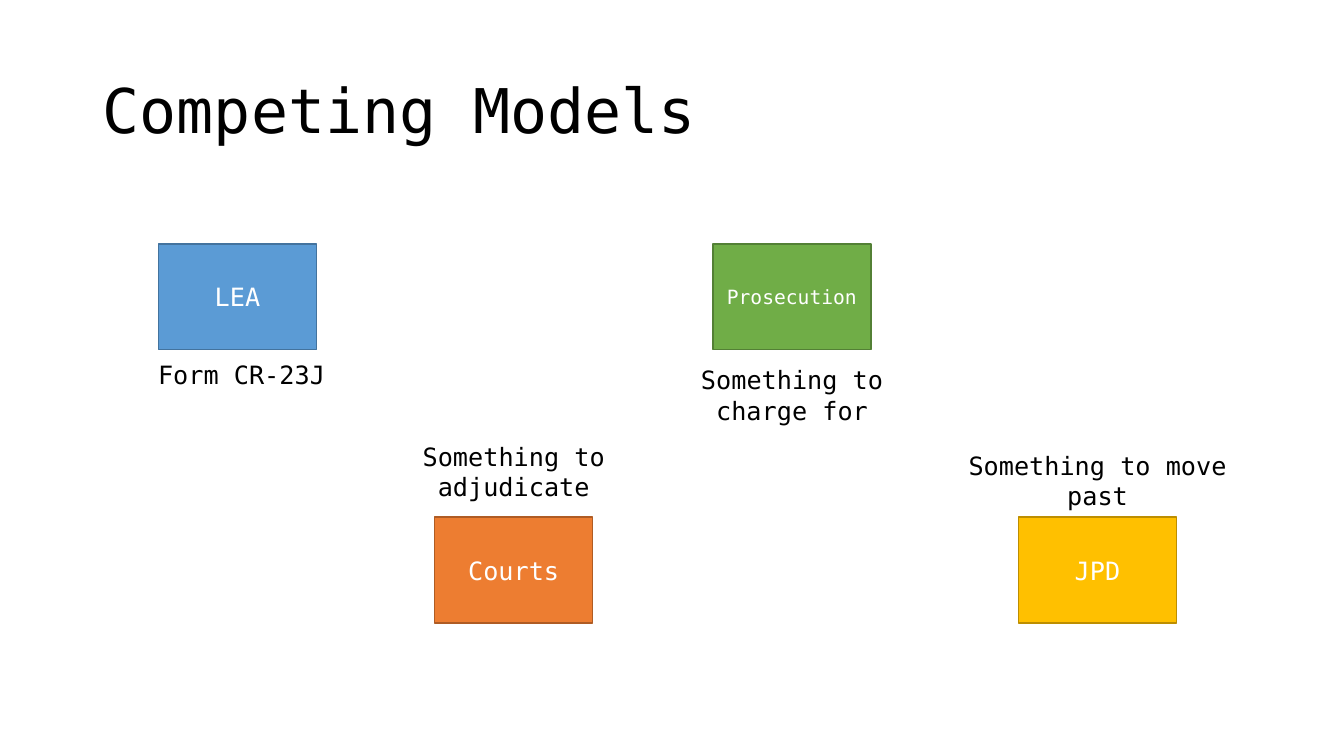
from dataclasses import dataclass

from pptx import Presentation
from pptx.dml.color import RGBColor
from pptx.enum.shapes import MSO_SHAPE
from pptx.enum.text import MSO_ANCHOR, PP_ALIGN
from pptx.util import Inches, Pt

RECT = MSO_SHAPE.RECTANGLE
TOP, MIDDLE = MSO_ANCHOR.TOP, MSO_ANCHOR.MIDDLE
LEFT, CENTER = PP_ALIGN.LEFT, PP_ALIGN.CENTER
WIDTH, HEIGHT = Inches(13.33), Inches(7.5)


@dataclass(frozen=True)
class Theme:
    font: str = "DejaVu Sans Mono"
    ink: str = "000000"
    light: str = "FFFFFF"
    blue: tuple = ("5B9BD5", "43739E")
    orange: tuple = ("ED7D31", "AF5C24")
    gold: tuple = ("FFC000", "BD8E00")
    green: tuple = ("70AD47", "538035")
    title: int = 44
    body: int = 18
    small: int = 14


THEME = Theme()

# Places and sizes are percentages of the slide's width and height.
BOX_W, BOX_H = 11.78, 14
LABEL_W, LINE_H = 21.53, 4.1
LABEL_PAD = 1.27
UPPER, LOWER = 32.27, 68.4

# Name, colours, type size, left, top, label, label shift, label top, label lines
MODELS = [
    ("LEA", THEME.blue, THEME.body, 11.78, UPPER,
     "Form CR-23J", 0.3, 46.93, 1),
    ("Courts", THEME.orange, THEME.body, 32.33, LOWER,
     "Something to adjudicate", 0, 57.73, 2),
    ("JPD", THEME.gold, THEME.body, 75.77, LOWER,
     "Something to move past", 0, 58.93, 2),
    ("Prosecution", THEME.green, THEME.small, 53.04, UPPER,
     "Something to charge for", 0, 47.6, 2),
]


def area(left, top, width, height):
    """Turn percentages of the slide into lengths."""
    return (int(WIDTH * left / 100), int(HEIGHT * top / 100),
            int(WIDTH * width / 100), int(HEIGHT * height / 100))


def assign(target, values):
    for name, value in values.items():
        setattr(target, name, value)


def write(shape, text, size, color, align=CENTER, anchor=MIDDLE, spacing=1.0):
    frame = shape.text_frame
    assign(frame, {"word_wrap": True, "vertical_anchor": anchor})
    para = frame.paragraphs[0]
    para.text = text
    assign(para, {"alignment": align, "line_spacing": spacing})
    font = para.runs[0].font
    assign(font, {"name": THEME.font, "size": Pt(size)})
    font.color.rgb = RGBColor.from_string(color)


def add_text(slide, place, text, size, **layout):
    box = slide.shapes.add_textbox(*area(*place))
    write(box, text, size, THEME.ink, **layout)


def add_box(slide, place, text, size, colors):
    box = slide.shapes.add_shape(RECT, *area(*place))
    box.shadow.inherit = False
    fill, edge = map(RGBColor.from_string, colors)
    box.fill.solid()
    box.fill.fore_color.rgb = fill
    box.line.color.rgb = edge
    box.line.width = Pt(1)
    write(box, text, size, THEME.light)


def add_model(slide, name, colors, size, left, top, label, shift, label_top, lines):
    """Draw a box with its label centred on it, moved by shift."""
    add_box(slide, (left, top, BOX_W, BOX_H), name, size, colors)
    label_left = left + (BOX_W - LABEL_W) / 2 + shift
    label_h = lines * LINE_H + LABEL_PAD
    add_text(slide, (label_left, label_top, LABEL_W, label_h), label,
             THEME.body, anchor=TOP)


def main():
    deck = Presentation()
    assign(deck, {"slide_width": WIDTH, "slide_height": HEIGHT})
    slide = deck.slides.add_slide(deck.slide_layouts[6])
    add_text(slide, (6.9, 5.33, 86.27, 19.33), "Competing Models", THEME.title,
             align=LEFT, spacing=0.9)
    for model in MODELS:
        add_model(slide, *model)
    deck.save("out.pptx")


if __name__ == "__main__":
    main()
